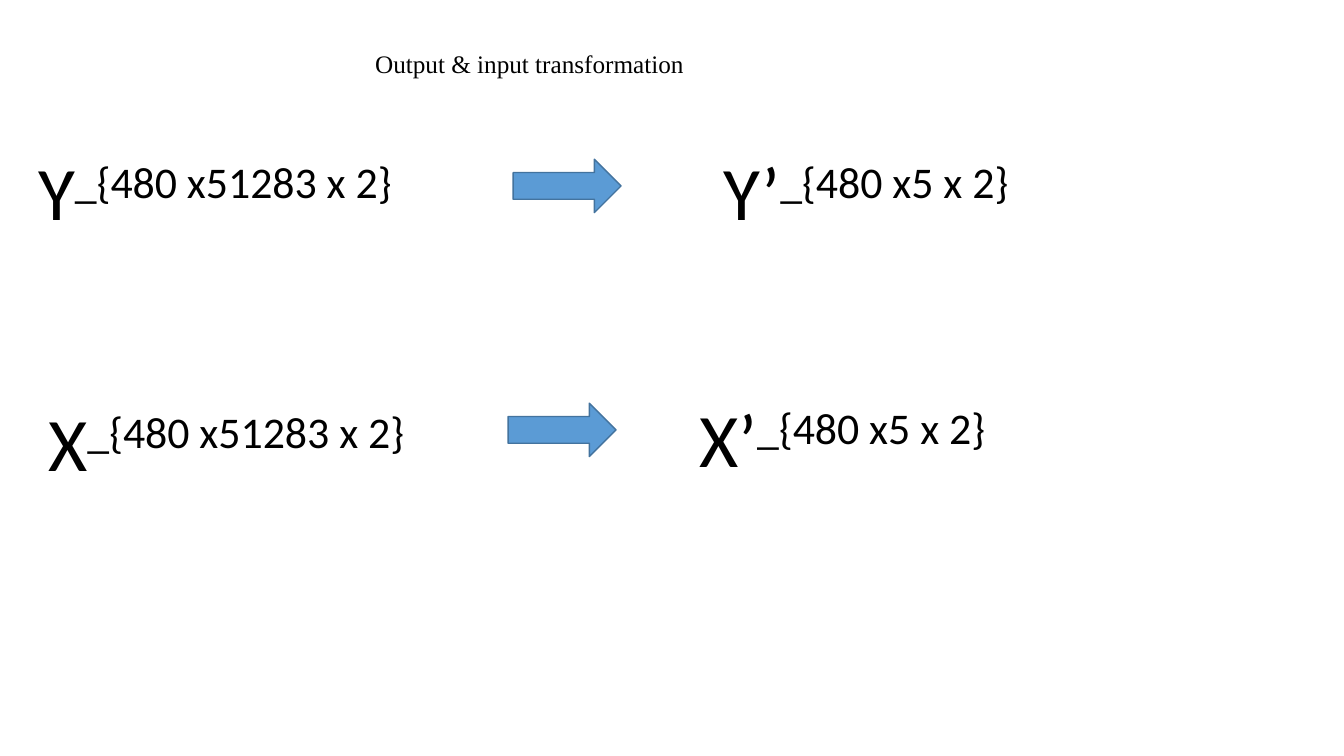
import pptx
import pptx.dml.color
import pptx.enum.shapes
import pptx.enum.text
import pptx.util

Inches = pptx.util.Inches
Pt = pptx.util.Pt
RGBColor = pptx.dml.color.RGBColor

# Content: symbol, raised dimensions, left, top, width
TITLE = "Output & input transformation"
TERMS = [
    ("Y", "_{480 x51283 x 2}", 0.28, 1.39, 4.23),
    ("Y’", "_{480 x5 x 2}", 7.08, 1.39, 3.57),
    ("X", "_{480 x51283 x 2}", 0.38, 3.88, 4.42),
    ("X’", "_{480 x5 x 2}", 6.84, 3.84, 3.58),
]
ARROWS = [(5.09, 1.58), (5.04, 4)]

BLACK = RGBColor(0x00, 0x00, 0x00)
ARROW_FILL = RGBColor(0x5B, 0x9B, 0xD5)
ARROW_LINE = RGBColor(0x43, 0x73, 0x9E)
TERM_HEIGHT = 1.01
ARROW_WIDTH, ARROW_HEIGHT = 1.07, 0.53


def format_paragraph(paragraph, font_name, size):
    paragraph.alignment = pptx.enum.text.PP_ALIGN.LEFT
    paragraph.font.name = font_name
    paragraph.font.size = Pt(size)
    paragraph.font.color.rgb = BLACK


def add_term(slide, symbol, dimensions, left, top, width):
    box = slide.shapes.add_textbox(
        Inches(left), Inches(top), Inches(width), Inches(TERM_HEIGHT))
    box.text_frame.word_wrap = False
    paragraph = box.text_frame.paragraphs[0]
    format_paragraph(paragraph, "Calibri", 54)
    paragraph.add_run().text = symbol
    raised = paragraph.add_run()
    raised.text = dimensions
    raised.font._element.set("baseline", "30000")


def add_arrow(slide, left, top):
    arrow = slide.shapes.add_shape(
        pptx.enum.shapes.MSO_SHAPE.RIGHT_ARROW,
        Inches(left), Inches(top), Inches(ARROW_WIDTH), Inches(ARROW_HEIGHT))
    arrow.shadow.inherit = False
    arrow.fill.solid()
    arrow.fill.fore_color.rgb = ARROW_FILL
    arrow.line.color.rgb = ARROW_LINE
    arrow.line.width = Pt(1)


def main():
    presentation = pptx.Presentation()
    presentation.slide_width = Inches(13.33)
    presentation.slide_height = Inches(7.5)
    slide = presentation.slides.add_slide(presentation.slide_layouts[5])

    # Title
    title = slide.shapes.title
    title.left, title.top = Inches(3.62), Inches(0.43)
    title.width, title.height = Inches(3.36), Inches(0.4)
    title.text_frame.text = TITLE
    title.text_frame.word_wrap = False
    title.text_frame.auto_size = pptx.enum.text.MSO_AUTO_SIZE.NONE
    title.text_frame.vertical_anchor = pptx.enum.text.MSO_ANCHOR.TOP
    format_paragraph(title.text_frame.paragraphs[0], "Times New Roman", 18)

    # Terms before and after each transformation
    for term in TERMS:
        add_term(slide, *term)

    # Transformation arrows
    for left, top in ARROWS:
        add_arrow(slide, left, top)

    presentation.save("out.pptx")


if __name__ == "__main__":
    main()
